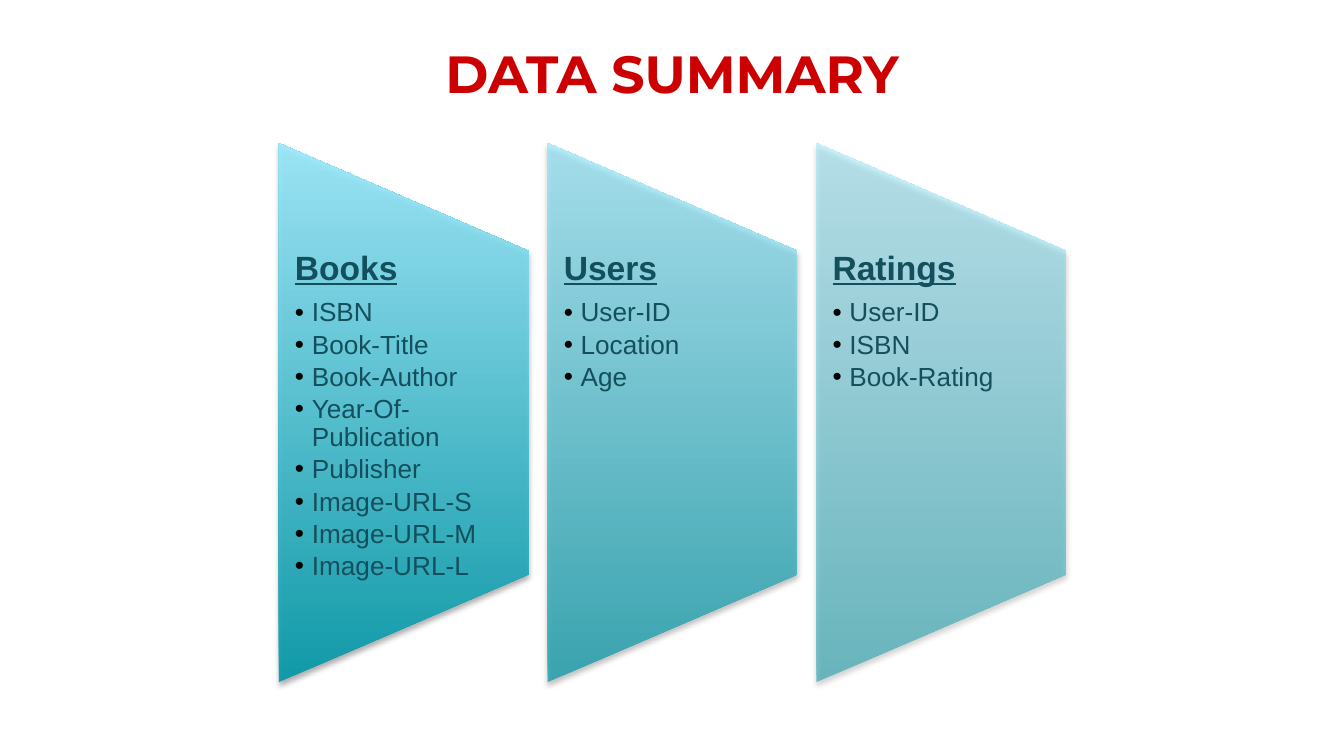
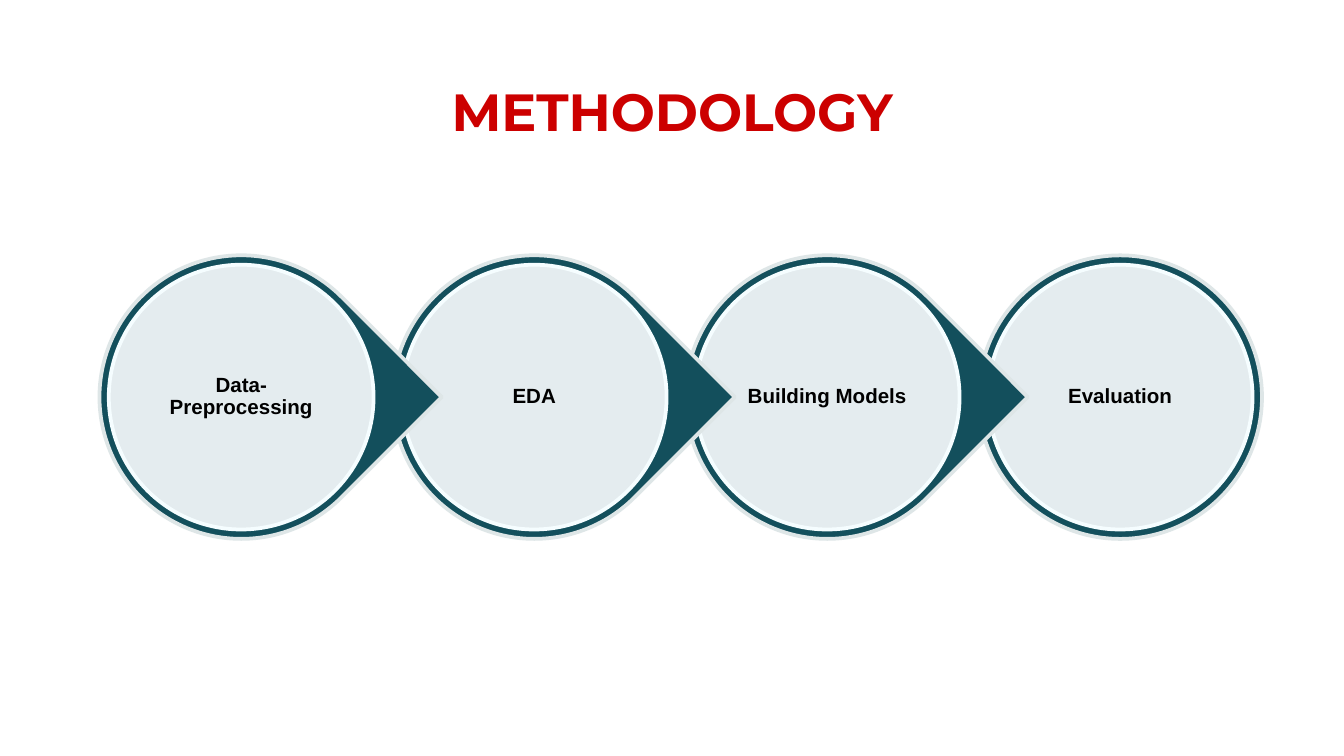
from lxml import etree
from pptx import Presentation
from pptx.dml.color import RGBColor
from pptx.enum import shapes, text
from pptx.oxml.ns import qn
from pptx.util import Inches, Pt

RED, TEAL, BLACK = "CC0000", "134F5C", "000000"
DEEP, PALE = "0097A7", "99E9FC"
RIM, DISC, EDGE = "DEE6E7", "FBFEFF", "F5FDFF"
KIND = shapes.MSO_SHAPE
MID = text.PP_ALIGN.CENTER
WIDE = Inches(10)
DENT = 1 / 8

TABLES = [
    ("Books", ["ISBN", "Book-Title", "Book-Author", "Year-Of-Publication",
               "Publisher", "Image-URL-S", "Image-URL-M", "Image-URL-L"], 90),
    ("Users", ["User-ID", "Location", "Age"], 70),
    ("Ratings", ["User-ID", "ISBN", "Book-Rating"], 50),
]
STEPS = ["Data-Preprocessing", "EDA", "Building Models", "Evaluation"]


def color(code):
    return RGBColor.from_string(code)


def add(node, tag, **attrs):
    """Append an XML child with the given attributes and return it."""
    child = etree.SubElement(node, qn(tag))
    for key, val in attrs.items():
        child.set(key, str(val))
    return child


def fade(shape, alpha):
    """Give every colour set so far on the shape an opacity in percent."""
    for node in list(shape._element.spPr.iter(qn("a:srgbClr"))):
        add(node, "a:alpha", val=alpha * 1000)


class Deck:
    def __init__(self):
        self.prs = Presentation()
        self.prs.slide_width = WIDE
        self.prs.slide_height = WIDE * 9 // 16
        self.slide = None

    def page(self, title, top):
        self.slide = self.prs.slides.add_slide(self.prs.slide_layouts[6])
        frame = self.box((0.34, top, 9.32, 0.63), (0.1, 0.1, 0.1, 0.1))
        self.style(frame.paragraphs[0], title, 28, RED, "Montserrat", True, MID)

    def box(self, area, inset):
        """Add a wrapping text box; inset is left, top, right, bottom."""
        frame = self.slide.shapes.add_textbox(*map(Inches, area)).text_frame
        frame.word_wrap = True
        (frame.margin_left, frame.margin_top,
         frame.margin_right, frame.margin_bottom) = map(Inches, inset)
        return frame

    def style(self, para, words, size, ink, face="Arial", bold=False, align=None):
        para.text = words
        para.alignment = align
        font = para.runs[0].font
        font.size, font.name, font.bold = Pt(size), face, bold
        font.color.rgb = color(ink)
        return font

    def space(self, para, after):
        """Tighten the lines and set the gap below in percent of a line."""
        para.line_spacing = 0.9
        props = para._p.get_or_add_pPr()
        add(add(props, "a:spcAft"), "a:spcPct", val=after * 1000)
        return props

    def bullet(self, para, words):
        self.style(para, words, 14, TEAL)
        para.level = 1
        props = self.space(para, 15)
        props.set("marL", str(Inches(DENT)))
        props.set("indent", str(-Inches(DENT)))
        add(add(props, "a:buClr"), "a:srgbClr", val=BLACK)
        add(props, "a:buFont", typeface="Arial")
        add(props, "a:buChar", char="•")

    def shape(self, kind, area, turn=0):
        item = self.slide.shapes.add_shape(kind, *map(Inches, area))
        item.rotation = turn
        item.shadow.inherit = False
        return item

    def disc(self, kind, area, fill, line, turn=0, alpha=None):
        item = self.shape(kind, area, turn)
        item.fill.solid()
        item.fill.fore_color.rgb = color(fill)
        if alpha:
            fade(item, alpha)
        item.line.color.rgb = color(line)
        item.line.width = Pt(2)

    def panel(self, area, alpha):
        """Add a sideways trapezoid, dark at the foot and pale at the top."""
        item = self.shape(KIND.FLOWCHART_MANUAL_OPERATION, area, 270)
        item.fill.gradient()
        item.fill.gradient_angle = 90
        for stop, code in zip(item.fill.gradient_stops, (DEEP, PALE)):
            stop.color.rgb = color(code)
        fade(item, alpha)
        item.line.fill.background()
        props = item._element.spPr
        props.find(qn("a:gradFill")).set("rotWithShape", "0")
        shade = add(props.find(qn("a:effectLst")), "a:outerShdw", blurRad=Pt(3.1),
                    dist=Pt(1.8), dir=5400000, rotWithShape=0)
        add(add(shade, "a:srgbClr", val=BLACK), "a:alpha", val=35000)

    def column(self, left, head, items, alpha):
        self.panel((left, 2.14, 4.01, 1.86), alpha)
        frame = self.box((left + 1.07, 1.87, 1.86, 2.41), (DENT, 0, DENT, 0))
        para = frame.paragraphs[0]
        self.style(para, head, 18, TEAL, bold=True).underline = True
        self.space(para, 35)
        for item in items:
            self.bullet(frame.add_paragraph(), item)

    def step(self, left, words, last):
        kind, turn = (KIND.OVAL, 0) if last else (KIND.TEAR, 45)
        self.disc(kind, (left, 1.9, 2.11, 2.11), TEAL, RIM, turn)
        self.disc(KIND.OVAL, (left + 0.07, 1.97, 1.97, 1.97), DISC, EDGE, alpha=90)
        frame = self.box((left + 0.35, 2.25, 1.41, 1.41), (0.02,) * 4)
        frame.vertical_anchor = text.MSO_ANCHOR.MIDDLE
        para = frame.paragraphs[0]
        self.style(para, words, 11, BLACK, bold=True, align=MID)
        self.space(para, 35)


def main():
    deck = Deck()
    deck.page("DATA SUMMARY", 0.21)
    for i, (head, items, alpha) in enumerate(TABLES):
        deck.column(1 + 2 * i, head, items, alpha)

    deck.page("METHODOLOGY", 0.49)
    # Right to left, so that each point lies over the next step
    for i, words in reversed(list(enumerate(STEPS))):
        deck.step(0.74 + 2.18 * i, words, i == len(STEPS) - 1)
    deck.prs.save("out.pptx")


if __name__ == "__main__":
    main()
